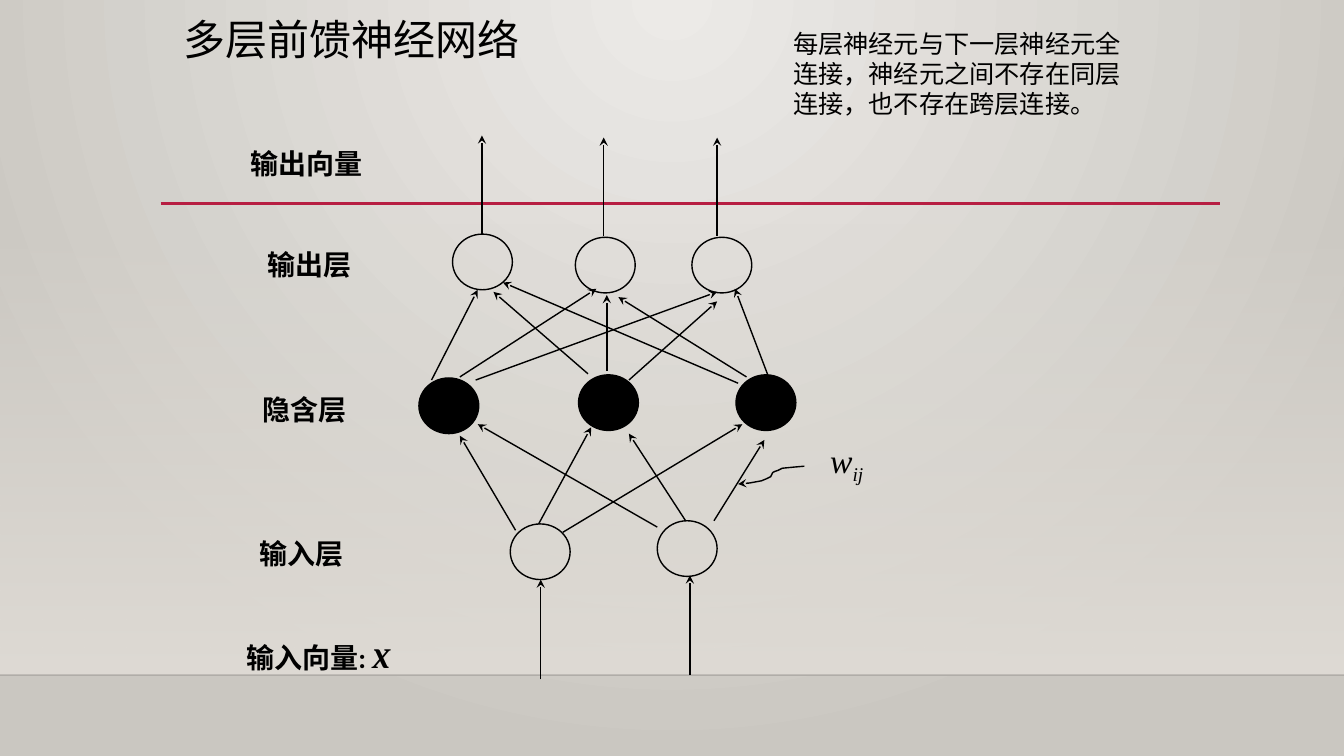
import lxml.etree
import pptx
import pptx.dml.color
import pptx.enum.shapes
import pptx.enum.text
import pptx.oxml.ns
import pptx.util

PX = 9525  # EMU per px, 96 px to the inch
WIDTH, HEIGHT = 1280, 720

BLACK = pptx.dml.color.RGBColor(0x00, 0x00, 0x00)
RED = pptx.dml.color.RGBColor(0xB7, 0x1E, 0x42)
LIGHT = pptx.dml.color.RGBColor(0xEC, 0xEA, 0xE7)
GREY = pptx.dml.color.RGBColor(0xCA, 0xC7, 0xC1)
WALL = pptx.dml.color.RGBColor(0xDF, 0xDB, 0xD5)

SPOTLIGHT = ('<a:path path="circle">'
             '<a:fillToRect l="43000" r="43000" b="100000"/></a:path>')
DOWNWARD = '<a:lin ang="5400000" scaled="0"/>'

CENTER = pptx.enum.text.PP_ALIGN.CENTER
LEFT = pptx.enum.text.PP_ALIGN.LEFT
OVAL = pptx.enum.shapes.MSO_SHAPE.OVAL
RECTANGLE = pptx.enum.shapes.MSO_SHAPE.RECTANGLE
STRAIGHT = pptx.enum.shapes.MSO_CONNECTOR.STRAIGHT

LABEL = {"name": "Calibri", "size": pptx.util.Pt(20), "bold": True}
VECTOR = LABEL | {"name": "Cambria", "italic": True}
NOTE = {"name": "Calibri", "size": pptx.util.Pt(18)}
HEADING = {"name": "Calibri", "size": pptx.util.Pt(30), "bold": False}
WEIGHT = {"name": "Times New Roman", "size": pptx.util.Pt(24), "italic": True}

# Layer captions: text spans, and box within the caption column
CAPTIONS = [
    ([("输出向量", LABEL)], (3, 0, 128, 42), False),
    ([("输出层", LABEL)], (20, 96, 100, 42), False),
    ([("隐含层", LABEL)], (15, 234, 101, 42), False),
    ([("输入层", LABEL)], (12, 371, 101, 42), False),
    ([("输入向量: ", LABEL), ("X", VECTOR)], (0, 470, 155, 42), True),
]

# Neurons (left, top) within the network box
NEURON = (57, 53)
OPEN_NEURONS = [(41, 103), (158, 106), (269, 106), (96, 379), (236, 376)]
HIDDEN_NEURONS = [(9, 240), (161, 237), (311, 237)]

# Arrows (from x, from y, to x, to y) within the network box
ARROWS = [
    # input layer to hidden layer
    (101, 385, 48, 295), (123, 379, 173, 287), (146, 387, 317, 284),
    (236, 382, 65, 284), (263, 376, 209, 293), (290, 376, 338, 299),
    # hidden layer to output layer
    (21, 242, 65, 156), (48, 239, 178, 155), (63, 242, 293, 158),
    (170, 236, 80, 158), (188, 233, 188, 161), (209, 242, 293, 167),
    (313, 245, 89, 149), (321, 239, 199, 163), (342, 239, 310, 155),
    # input vector and output vector
    (125, 527, 125, 432), (267, 523, 267, 428),
    (69, 103, 69, 9), (185, 105, 185, 11), (293, 105, 293, 11),
]

POINTER = [(66, 30), (55, 31), (45, 32), (41, 34), (38, 35), (36, 36), (35, 38),
           (34, 40), (32, 41), (30, 42), (25, 44), (14, 46), (3, 47)]


def px(*lengths):
    return [pptx.util.Emu(length * PX) for length in lengths]


def inside(box, part):
    return px(box[0] + part[0], box[1] + part[1], *part[2:])


def add_xml(parent, tag, **attributes):
    element = lxml.etree.SubElement(parent, pptx.oxml.ns.qn(tag))
    for name, value in attributes.items():
        element.set(name, value)


def set_gradient(holder, stops, direction):
    """Swap the solid fill of holder for a gradient of (colour, alpha) ends."""
    ends = "".join(
        f'<a:gs pos="{place}"><a:srgbClr val="{colour}">'
        f'<a:alpha val="{alpha}"/></a:srgbClr></a:gs>'
        for place, (colour, alpha) in zip((0, 100000), stops))
    gradient = lxml.etree.fromstring(
        f'<a:gradFill {pptx.oxml.ns.nsdecls("a")} rotWithShape="1">'
        f'<a:gsLst>{ends}</a:gsLst>{direction}</a:gradFill>')
    holder.replace(holder.find(pptx.oxml.ns.qn("a:solidFill")), gradient)


def set_line(shape, colour=BLACK, width=1, arrow=False):
    shape.line.color.rgb = colour
    shape.line.width = pptx.util.Pt(width)
    if arrow:
        add_xml(shape.line._get_or_add_ln(), "a:tailEnd", type="stealth")


def add_line(page, ends, **style):
    line = page.shapes.add_connector(STRAIGHT, *ends)
    set_line(line, **style)
    add_xml(line._element.spPr, "a:effectLst")
    return line


def write(shape, spans, align, wrap):
    shape.text_frame.word_wrap = wrap
    shape.text_frame.auto_size = pptx.enum.text.MSO_AUTO_SIZE.SHAPE_TO_FIT_TEXT
    para = shape.text_frame.paragraphs[0]
    para.alignment = align
    for text, style in spans:
        span = para.add_run()
        span.text = text
        span.font.color.rgb = BLACK
        for name, value in style.items():
            setattr(span.font, name, value)
    return para


def add_backdrop(page, box):
    left, top, width, height = box
    page.background.fill.solid()
    set_gradient(page._element.cSld.bg.bgPr,
                 [(LIGHT, 100000), (GREY, 100000)], SPOTLIGHT)
    # wall fading in down to the floor line
    wall = page.shapes.add_shape(RECTANGLE, *px(*box))
    wall.shadow.inherit = False
    wall.line.fill.background()
    wall.fill.solid()
    set_gradient(wall._element.spPr, [(WALL, 0), (WALL, 100000)], DOWNWARD)
    floor = add_line(page, px(left, top + height, left + width, top + height))
    colour = floor.line._get_or_add_ln().find(".//" + pptx.oxml.ns.qn("a:srgbClr"))
    add_xml(colour, "a:alpha", val="20000")
    # red rule
    add_line(page, px(153, 194, 1162, 194), colour=RED, width=2.5)


def add_title(page, box):
    title = page.shapes.title
    title.left, title.top, title.width, title.height = px(*box)
    title.text_frame.vertical_anchor = pptx.enum.text.MSO_ANCHOR.MIDDLE
    para = write(title, [("多层前馈神经网络", HEADING)], LEFT, True)
    para.line_spacing = 0.9


def add_network(page, box):
    for neurons, filled in ((OPEN_NEURONS, False), (HIDDEN_NEURONS, True)):
        for corner in neurons:
            neuron = page.shapes.add_shape(OVAL, *inside(box, corner + NEURON))
            neuron.shadow.inherit = False
            set_line(neuron)
            if filled:
                neuron.fill.solid()
                neuron.fill.fore_color.rgb = BLACK
            else:
                neuron.fill.background()
    for arrow in ARROWS:
        ends = inside(box, arrow[:2]) + inside(box, arrow[2:])
        add_line(page, ends, arrow=True)


def add_captions(page, box):
    for spans, part, wrap in CAPTIONS:
        write(page.shapes.add_textbox(*inside(box, part)), spans, CENTER, wrap)


def add_weight(page, box):
    points = [(box[0] + x, box[1] + y) for x, y in POINTER]
    builder = page.shapes.build_freeform(*points[0], scale=PX)
    builder.add_line_segments(points[1:], close=False)
    pointer = builder.convert_to_shape()
    pointer.shadow.inherit = False
    pointer.fill.background()
    set_line(pointer, arrow=True)
    label = page.shapes.add_textbox(*inside(box, (80, 0, 53, 49)))
    para = write(label, [("w", WEIGHT), ("ij", WEIGHT)], CENTER, False)
    para.runs[1]._r.get_or_add_rPr().set("baseline", "-25000")


def add_note(page, box):
    text = "每层神经元与下一层神经元全连接，神经元之间不存在同层连接，也不存在跨层连接。"
    write(page.shapes.add_textbox(*px(*box)), [(text, NOTE)], LEFT, True)


def main():
    deck = pptx.Presentation()
    deck.slide_width, deck.slide_height = px(WIDTH, HEIGHT)
    page = deck.slides.add_slide(deck.slide_layouts[5])
    add_backdrop(page, (0, 212, WIDTH, 431))
    add_title(page, (165, 13, 916, 54))
    add_network(page, (390, 120))
    add_captions(page, (225, 135))
    add_weight(page, (700, 414))
    add_note(page, (746, 22, 345, 97))
    deck.save("out.pptx")


if __name__ == "__main__":
    main()
